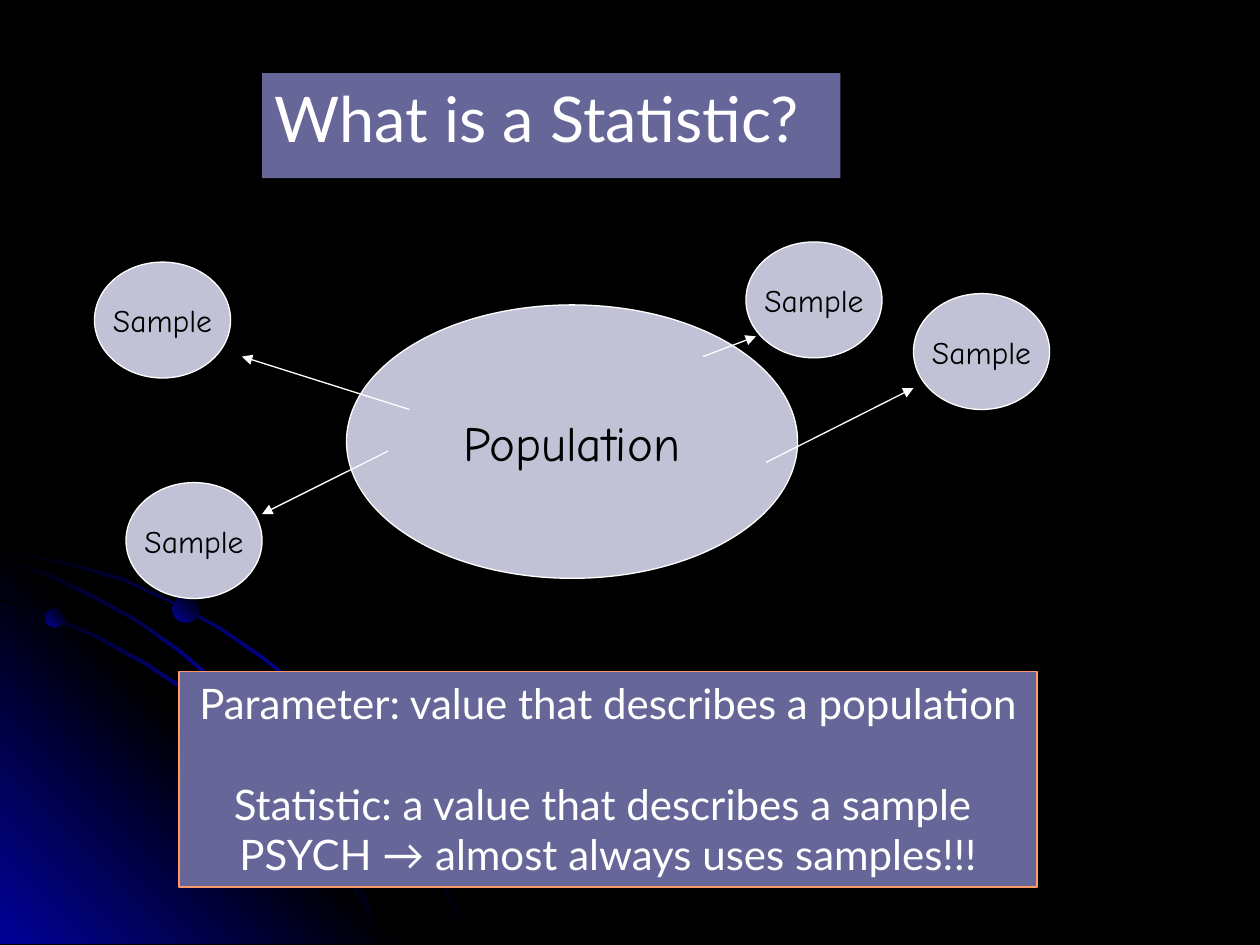
from lxml.etree import SubElement
from pptx import Presentation
from pptx.dml.color import RGBColor
from pptx.enum.shapes import MSO_CONNECTOR, MSO_SHAPE
from pptx.enum.text import MSO_ANCHOR, MSO_AUTO_SIZE, PP_ALIGN
from pptx.oxml.ns import qn
from pptx.util import Inches, Pt

WIDTH, HEIGHT = 10, 7.5
BLACK, WHITE, BLUE = "000000", "FFFFFF", "010199"
PANEL, BUBBLE, ORANGE = "666699", "C2C2D6", "FF9966"
BODY_FONT, BUBBLE_FONT = "Lato", "Comic Neue"
SAMPLE_SIZE = (1.08, 0.92)
SAMPLES = [(1, 3.83), (5.92, 1.92), (7.25, 2.33), (0.75, 2.08)]
ARROWS = [
    ((3.08, 3.58), (2.08, 4.08)),
    ((3.25, 3.25), (1.92, 2.83)),
    ((5.58, 2.83), (6, 2.67)),
    ((6.08, 3.67), (7.25, 3.08)),
]
# Outlines of the corner decoration, in hundredths of an inch
OUTER_ARC = [
    (57, 447), (28, 441), (0, 435), (0, 438), (28, 443), (56, 449), (97, 461),
    (135, 478), (173, 499), (208, 523), (241, 549), (271, 579), (298, 612),
    (323, 649), (337, 673), (350, 698), (360, 723), (370, 749), (372, 749),
    (362, 723), (352, 698), (339, 673), (325, 648), (300, 611), (272, 578),
    (242, 548), (209, 521), (174, 497), (136, 477), (98, 459),
]
GLOW = [(322, 749), (0, 749), (0, 427)]
INNER_ARC = [
    (285, 714), (294, 732), (301, 749), (303, 749), (296, 730), (286, 712),
    (266, 676), (242, 640), (215, 606), (184, 576), (152, 549), (117, 526),
    (79, 505), (41, 488), (0, 475), (0, 477), (39, 490), (77, 507), (115, 528),
    (150, 551), (183, 578), (213, 608), (240, 641), (265, 677),
]
MIDDLE_ARC = [
    (0, 442), (0, 444), (36, 457), (74, 475), (109, 494), (142, 518),
    (173, 544), (202, 575), (227, 605), (252, 641), (267, 667), (280, 694),
    (292, 722), (301, 749), (303, 749), (294, 720), (282, 693), (269, 665),
    (254, 639), (229, 603), (204, 573), (175, 543), (144, 516), (111, 493),
    (76, 473), (39, 455),
]
ARC_COLORS = (BLACK, BLUE, BLACK)


def color(value):
    return RGBColor.from_string(value)


def paint(shape, fill, line=None):
    shape.fill.solid()
    shape.fill.fore_color.rgb = color(fill)
    if line:
        shape.line.color.rgb = color(line)
        shape.line.width = Pt(0.75)
    else:
        shape.line.fill.background()


def paint_gradient(shape, colors, angle):
    """Spread the colours evenly; the angle is in degrees, clockwise."""
    shape.shadow.inherit = False
    shape.line.fill.background()
    shape.fill.gradient()
    gradient = shape.element.spPr.find(qn("a:gradFill"))
    for child in list(gradient):
        gradient.remove(child)
    stops = SubElement(gradient, qn("a:gsLst"))
    for index, value in enumerate(colors):
        position = 100000 * index // (len(colors) - 1)
        stop = SubElement(stops, qn("a:gs"), pos=str(position))
        SubElement(stop, qn("a:srgbClr"), val=value)
    SubElement(gradient, qn("a:lin"), ang=str(angle * 60000), scaled="0")


def write(paragraph, text, size, font, text_color, align=PP_ALIGN.CENTER):
    paragraph.alignment = align
    run = paragraph.add_run()
    run.text = text
    run.font.size = Pt(size)
    run.font.name = font
    run.font.color.rgb = color(text_color)


def add_preset(slide, kind, left, top, width, height):
    shape = slide.shapes.add_shape(
        kind, Inches(left), Inches(top), Inches(width), Inches(height))
    shape.shadow.inherit = False
    return shape


def add_outline(slide, points, colors, angle):
    builder = slide.shapes.build_freeform(*points[0], scale=Inches(0.01))
    builder.add_line_segments(points[1:], close=True)
    paint_gradient(builder.convert_to_shape(), colors, angle)


def add_decoration(slide):
    add_outline(slide, OUTER_ARC, ARC_COLORS, 45)
    add_outline(slide, GLOW, (BLUE, BLACK, BLUE), 315)
    add_outline(slide, INNER_ARC, ARC_COLORS, 45)
    add_outline(slide, MIDDLE_ARC, ARC_COLORS, 45)
    for left, top, size in [(0.36, 4.83, 0.15), (1.37, 4.73, 0.21)]:
        dot = add_preset(slide, MSO_SHAPE.OVAL, left, top, size, size)
        paint_gradient(dot, (BLUE, BLACK), 315)


def add_title(slide, text):
    title = slide.shapes.title
    title.left, title.top = Inches(2.08), Inches(0.58)
    title.width, title.height = Inches(4.59), Inches(0.71)
    paint(title, PANEL)
    frame = title.text_frame
    frame.word_wrap = False
    frame.auto_size = MSO_AUTO_SIZE.SHAPE_TO_FIT_TEXT
    frame.vertical_anchor = MSO_ANCHOR.TOP
    write(frame.paragraphs[0], text, 36, BODY_FONT, WHITE, PP_ALIGN.LEFT)


def add_bubble(slide, text, position, extent, size):
    bubble = add_preset(slide, MSO_SHAPE.OVAL, *position, *extent)
    paint(bubble, BUBBLE, WHITE)
    frame = bubble.text_frame
    frame.word_wrap = False
    frame.vertical_anchor = MSO_ANCHOR.MIDDLE
    write(frame.paragraphs[0], text, size, BUBBLE_FONT, BLACK)


def add_arrow(slide, start, end):
    arrow = slide.shapes.add_connector(
        MSO_CONNECTOR.STRAIGHT, *map(Inches, start + end))
    arrow.line.color.rgb = color(WHITE)
    arrow.line.width = Pt(0.75)
    SubElement(arrow.line._get_or_add_ln(), qn("a:tailEnd"), type="triangle")
    SubElement(arrow._element.spPr, qn("a:effectLst"))


def add_definitions(slide, lines):
    """Each line is its text and the space before it in points."""
    panel = add_preset(slide, MSO_SHAPE.RECTANGLE, 1.42, 5.33, 6.81, 1.71)
    paint(panel, PANEL, ORANGE)
    frame = panel.text_frame
    frame.word_wrap = False
    frame.auto_size = MSO_AUTO_SIZE.SHAPE_TO_FIT_TEXT
    frame.vertical_anchor = MSO_ANCHOR.TOP
    for index, (text, space) in enumerate(lines):
        paragraph = frame.add_paragraph() if index else frame.paragraphs[0]
        if space:
            paragraph.space_before = Pt(space)
        write(paragraph, text, 24, BODY_FONT, WHITE)


def main():
    presentation = Presentation()
    presentation.slide_width = Inches(WIDTH)
    presentation.slide_height = Inches(HEIGHT)
    slide = presentation.slides.add_slide(presentation.slide_layouts[5])
    slide.background.fill.solid()
    slide.background.fill.fore_color.rgb = color(BLACK)

    add_decoration(slide)
    add_title(slide, "What is a Statistic?")
    add_bubble(slide, "Population", (2.75, 2.42), (3.58, 2.17), 28)
    for position in SAMPLES:
        add_bubble(slide, "Sample", position, SAMPLE_SIZE, 18)
    for start, end in ARROWS:
        add_arrow(slide, start, end)
    add_definitions(slide, [
        ("Parameter: value that describes a population", 0),
        ("Statistic: a value that describes a sample ", 28.8),
        ("PSYCH → almost always uses samples!!!", 0),
    ])
    presentation.save("out.pptx")


if __name__ == "__main__":
    main()
